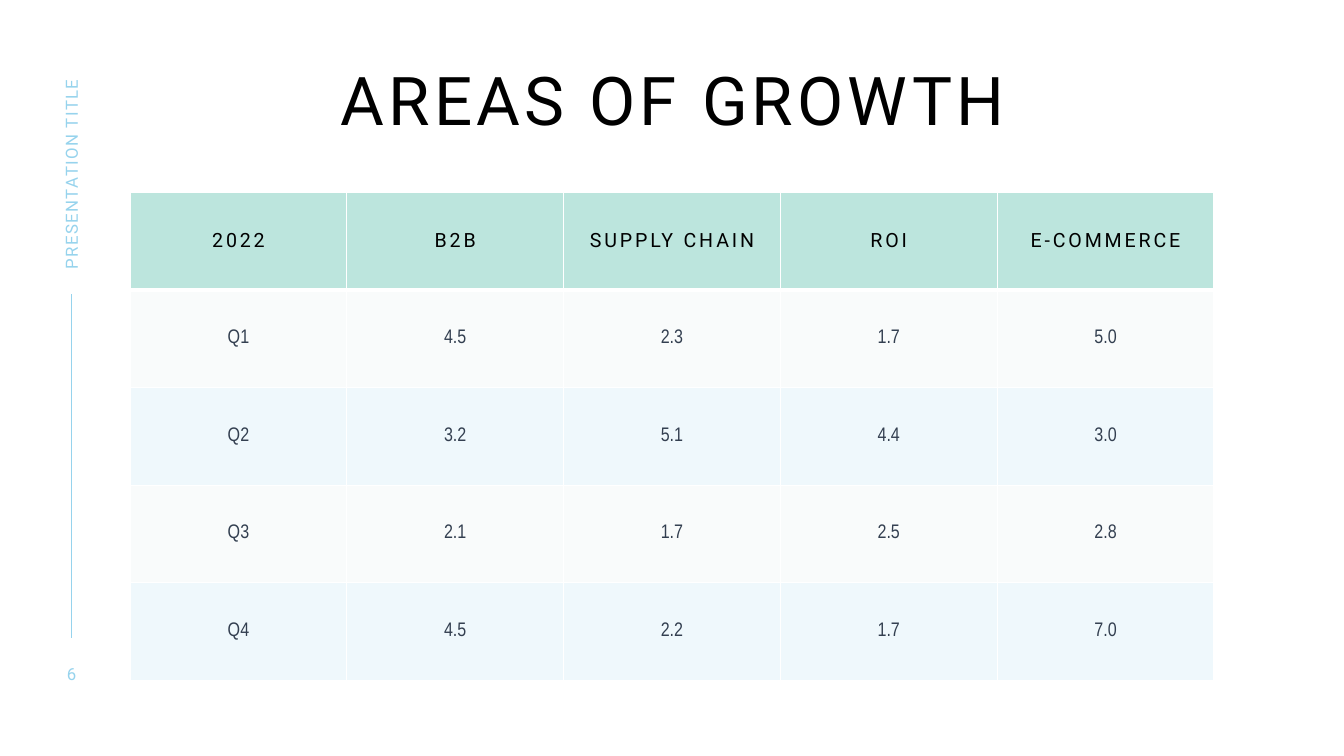
from pptx import Presentation
from pptx.dml.color import RGBColor as RGB
from pptx.enum.shapes import MSO_CONNECTOR as Conn
from pptx.enum.text import MSO_ANCHOR as Anchor, PP_ALIGN as Align
from pptx.oxml import parse_xml
from pptx.oxml.ns import nsdecls, qn
from pptx.util import Inches, Pt
from lxml.etree import SubElement as Sub


def color(code):
    return RGB.from_string(code)


class Deck:
    """Holds the style and the current slide, and draws each kind of element."""

    ink, slate, sky, mint, mist = "000000", "333F50", "96D3ED", "BCE5DD", "C7DBE1"
    white, head, body = "FFFFFF", "Roboto", "Arial Narrow"

    def __init__(self):
        self.prs = Presentation()
        self.prs.slide_width, self.prs.slide_height = Inches(13.33), Inches(7.5)
        self.slide = self.prs.slides.add_slide(self.prs.slide_layouts[6])
        fill = self.slide.background.fill
        fill.solid()
        fill.fore_color.rgb = color(self.white)

    def put(self, frame, text, size, font, tint, space=0, align=Align.CENTER):
        para = frame.paragraphs[0]
        para.alignment = align
        run = para.add_run()
        run.text = text
        run.font.size, run.font.name = Pt(size), font
        run.font.color.rgb = color(tint)
        run.font._element.set("spc", str(space * 100))
        return para

    def text(self, box, text, size, tint, space, align=Align.CENTER,
             anchor=Anchor.MIDDLE, turn=0, lead=1):
        shape = self.slide.shapes.add_textbox(*map(Inches, box))
        shape.rotation = turn
        frame = shape.text_frame
        frame.word_wrap = True
        frame.vertical_anchor = anchor
        frame.margin_left = frame.margin_right = 0
        frame.margin_top = frame.margin_bottom = 0
        para = self.put(frame, text, size, self.head, tint, space, align)
        para.line_spacing = lead

    def line(self, ends, tint, width):
        line = self.slide.shapes.add_connector(Conn.STRAIGHT, *map(Inches, ends))
        line.line.color.rgb = color(tint)
        line.line.width = Pt(width)
        Sub(line._element.spPr, qn("a:effectLst"))

    def paint(self, cell, tint, alpha, top, base):
        props = cell._tc.get_or_add_tcPr()
        for side, width in (("L", 1), ("R", 1), ("T", top), ("B", base)):
            props.append(parse_xml(
                f'<a:ln{side} {nsdecls("a")} w="{Pt(width)}"><a:solidFill>'
                f'<a:srgbClr val="{self.white}"/></a:solidFill></a:ln{side}>'))
        cell.fill.solid()
        cell.fill.fore_color.rgb = color(tint)
        if alpha < 100:
            tone = props.find(qn("a:solidFill")).find(qn("a:srgbClr"))
            Sub(tone, qn("a:alpha")).set("val", str(alpha * 1000))

    def table(self, box, rows):
        grid = self.slide.shapes.add_table(
            len(rows), len(rows[0]), *map(Inches, box)).table
        grid.first_row = grid.horz_banding = False
        for r, row in enumerate(rows):
            if r == 0:
                style = (14, self.head, self.ink, 2)
                fill = (self.mint, 100, 1, 3)
            else:
                style = (14, self.body, self.slate)
                tone = (self.mist, 10) if r % 2 else (self.sky, 15)
                fill = (*tone, 3 if r == 1 else 1, 1)
            for c, text in enumerate(row):
                cell = grid.cell(r, c)
                cell.vertical_anchor = Anchor.MIDDLE
                self.put(cell.text_frame, text, *style)
                self.paint(cell, *fill)


def main():
    deck = Deck()
    deck.line((0.71, 2.92, 0.71, 6.33), deck.sky, 1)
    deck.text((1.3, 0.67, 10.75, 1), "AREAS OF GROWTH", 48, deck.ink, 3,
              anchor=Anchor.TOP, lead=0.9)
    deck.text((-0.27, 1.59, 1.95, 0.21), "PRESENTATION TITLE", 12, deck.sky, 1,
              align=Align.LEFT, turn=270)
    deck.text((0.46, 6.58, 0.5, 0.2), "6", 12, deck.sky, 2)
    deck.table((1.29, 1.91, 10.75, 4.84), [
        ("2022", "B2B", "SUPPLY CHAIN", "ROI", "E-COMMERCE"),
        ("Q1", "4.5", "2.3", "1.7", "5.0"),
        ("Q2", "3.2", "5.1", "4.4", "3.0"),
        ("Q3", "2.1", "1.7", "2.5", "2.8"),
        ("Q4", "4.5", "2.2", "1.7", "7.0"),
    ])
    deck.prs.save("out.pptx")


if __name__ == "__main__":
    main()
